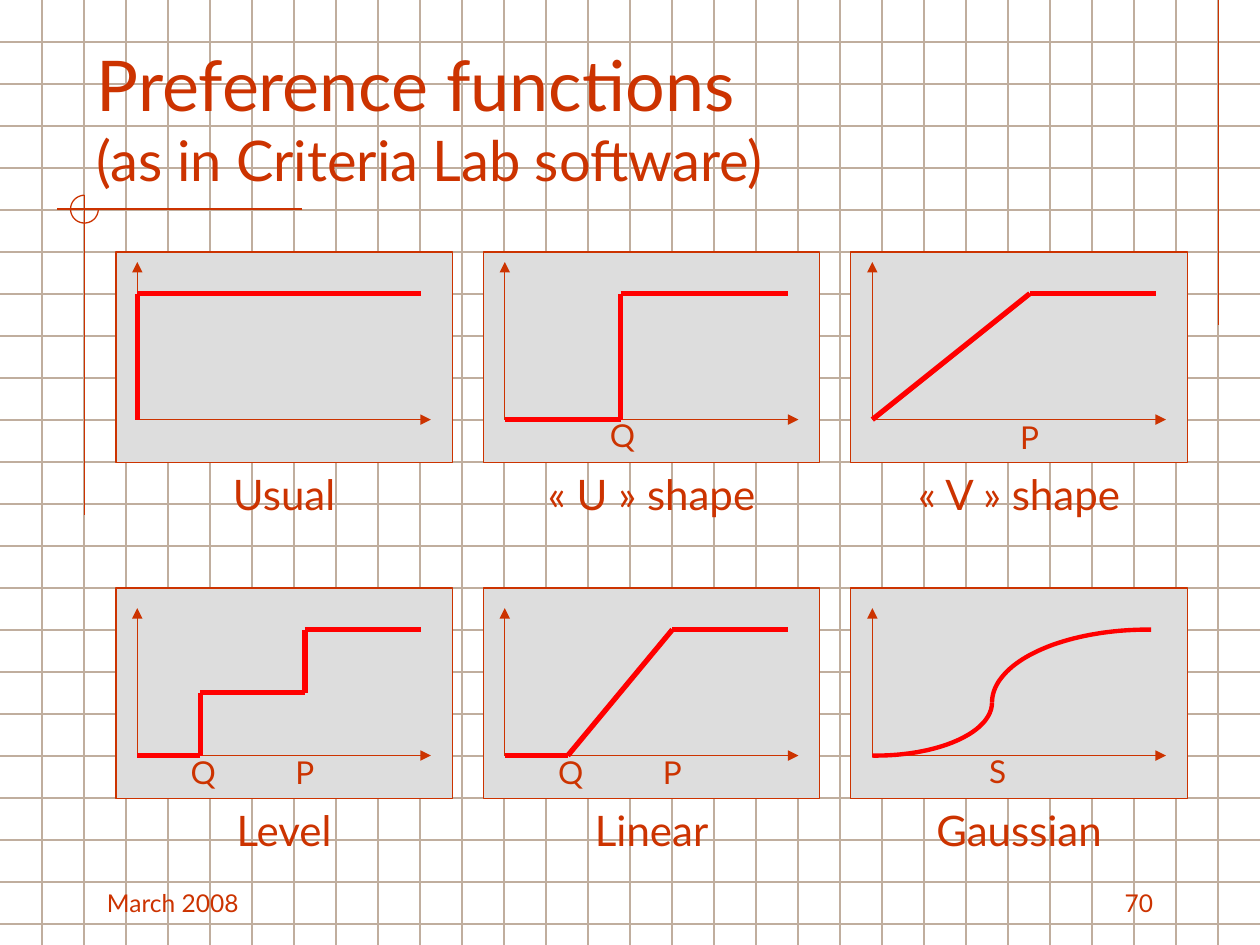
from itertools import pairwise
from math import cos, radians, sin

from lxml import etree
from pptx import Presentation
from pptx.dml.color import RGBColor
from pptx.enum.shapes import MSO_CONNECTOR, MSO_SHAPE
from pptx.enum.text import MSO_ANCHOR, MSO_AUTO_SIZE, PP_ALIGN
from pptx.oxml.ns import qn
from pptx.util import Inches, Pt

STRAIGHT = MSO_CONNECTOR.STRAIGHT
RECTANGLE = MSO_SHAPE.RECTANGLE
LEFT, CENTER, RIGHT = PP_ALIGN.LEFT, PP_ALIGN.CENTER, PP_ALIGN.RIGHT
TOP, BOTTOM = MSO_ANCHOR.TOP, MSO_ANCHOR.BOTTOM
FIT, FIXED = MSO_AUTO_SIZE.SHAPE_TO_FIT_TEXT, MSO_AUTO_SIZE.NONE

COLORS = {"ink": "CC3300", "curve": "FF0000", "panel": "DDDDDD", "grid": "C0AE9E"}
FONT = "Lato"
WIDTH, HEIGHT = 10, 7.5
PANEL_WIDTH, PANEL_HEIGHT = 2.67, 1.67
LABEL_WIDTHS = {"Q": 0.39, "P": 0.35, "S": 0.34}

PANELS = [
    [
        {"name": "Usual", "caption_width": 2.5,
         "steps": [(0, 0), (0, 1), (2.25, 1)]},
        {"name": "« U » shape", "caption_width": 2.83,
         "steps": [(0, 0), (0.92, 0), (0.92, 1), (2.25, 1)],
         "labels": [("Q", 0.93, 0.08)]},
        {"name": "« V » shape", "caption_width": 2.83,
         "steps": [(0, 0), (1.25, 1), (2.25, 1)],
         "labels": [("P", 1.25, 0.06)]},
    ],
    [
        {"name": "Level", "caption_width": 2.5,
         "steps": [(0, 0), (0.5, 0), (0.5, 0.5), (1.33, 0.5), (1.33, 1), (2.25, 1)],
         "labels": [("Q", 0.52, 0.07), ("P", 1.33, 0.07)]},
        {"name": "Linear", "caption_width": 2.5,
         "steps": [(0, 0), (0.5, 0), (1.33, 1), (2.25, 1)],
         "labels": [("Q", 0.52, 0.07), ("P", 1.33, 0.07)]},
        {"name": "Gaussian", "caption_width": 2.83,
         "arcs": [((0.03, 0.42), (0.92, 0.42), (92, 0)),
                  ((2.19, 0.42), (1.24, 0.58), (180, 271))],
         "labels": [("S", 1, 0.08)]},
    ],
]


def color(name):
    """Return the named colour."""
    return RGBColor.from_string(COLORS[name])


def add_line(shapes, start, end, ink="ink", width=0.75, arrow=False):
    """Draw a straight line between two points in inches."""
    line = shapes.add_connector(STRAIGHT, *map(Inches, (*start, *end)))
    line.line.color.rgb = color(ink)
    line.line.width = Pt(width)
    properties = line.line._get_or_add_ln()
    if arrow:
        etree.SubElement(properties, qn("a:tailEnd"), type="triangle")
    etree.SubElement(properties.getparent(), qn("a:effectLst"))


def add_arc(shapes, center, radii, angles, ink="ink", width=0.75):
    """Draw an open elliptical arc between two clockwise angles."""
    first, last = angles
    turns = [radians(first + (last - first) * step / 40) for step in range(41)]
    points = [(Inches(center[0] + radii[0] * cos(turn)),
               Inches(center[1] + radii[1] * sin(turn))) for turn in turns]
    builder = shapes.build_freeform(*points[0])
    builder.add_line_segments(points[1:], close=False)
    arc = builder.convert_to_shape()
    arc.shadow.inherit = False
    arc.fill.background()
    arc.line.color.rgb = color(ink)
    arc.line.width = Pt(width)


def add_text(shapes, box, spans, align=LEFT, anchor=TOP, wrap=True, fit=FIXED):
    """Place one paragraph of (text, size) spans, one span to a line."""
    frame = shapes.add_textbox(*map(Inches, box)).text_frame
    settings = {"word_wrap": wrap, "vertical_anchor": anchor, "auto_size": fit}
    for name, value in settings.items():
        setattr(frame, name, value)
    para = frame.paragraphs[0]
    para.alignment = align
    for index, (text, size) in enumerate(spans):
        if index:
            para.add_line_break()
        span = para.add_run()
        span.text = text
        for name, value in {"name": FONT, "size": Pt(size)}.items():
            setattr(span.font, name, value)
        span.font.color.rgb = color("ink")


def add_background(page):
    """Draw the squared paper and the ornament lines."""
    grid = page.shapes.add_group_shape().shapes
    for index in range(1, 23):
        add_line(grid, (0, index / 3), (WIDTH, index / 3), "grid")
    for index in range(1, 30):
        add_line(grid, (index / 3, 0), (index / 3, HEIGHT), "grid")
    ornament = page.shapes.add_group_shape().shapes
    add_line(ornament, (9.67, 0), (9.67, 2.58))
    add_line(ornament, (2.4, 1.66), (0.45, 1.66))
    add_line(ornament, (0.67, 1.55), (0.67, 4.09))
    add_arc(ornament, (0.67, 1.66), (0.11, 0.11), (270, 0))


def add_panel(page, left, top, axis_top, panel):
    """Draw one preference function with its axes, labels and caption."""
    shapes = page.shapes.add_group_shape().shapes
    frame = shapes.add_shape(
        RECTANGLE, *map(Inches, (left, top, PANEL_WIDTH, PANEL_HEIGHT)))
    frame.shadow.inherit = False
    frame.fill.solid()
    frame.fill.fore_color.rgb = color("panel")
    frame.line.color.rgb = color("ink")
    frame.line.width = Pt(0.75)

    origin_x, origin_y = left + 0.17, top + 1.33
    add_line(shapes, (origin_x, origin_y), (origin_x + 2.33, origin_y), arrow=True)
    add_line(shapes, (origin_x, origin_y), (origin_x, top + axis_top), arrow=True)
    points = [(origin_x + x, origin_y - y) for x, y in panel.get("steps", [])]
    for start, end in pairwise(points):
        add_line(shapes, start, end, "curve", 3)
    for (x, y), radii, angles in panel.get("arcs", []):
        add_arc(shapes, (origin_x + x, origin_y - y), radii, angles, "curve", 2.5)

    width = panel["caption_width"]
    box = (left + (PANEL_WIDTH - width) / 2, top + PANEL_HEIGHT, width, 0.5)
    add_text(shapes, box, [(panel["name"], 24)], CENTER, fit=FIT)
    for text, x, rise in panel.get("labels", []):
        width = LABEL_WIDTHS[text]
        box = (origin_x + x - width / 2, origin_y - rise, width, 0.4)
        add_text(shapes, box, [(text, 18)], wrap=False, fit=FIT)


def add_panels(page, left, top):
    """Lay out the panels in two rows of three."""
    for row, (panels, axis_top) in enumerate(zip(PANELS, (0.08, 0.16))):
        for column, panel in enumerate(panels):
            add_panel(page, left + column * 35 / 12, top + row * 8 / 3, axis_top, panel)


def add_title(page, box):
    """Place the two-line title."""
    spans = [("Preference functions", 40), ("(as in Criteria Lab software)", 32)]
    add_text(page.shapes, box, spans, anchor=BOTTOM)


def add_footer(page, left, right, top):
    """Place the date and the page number."""
    add_text(page.shapes, (left, top, 2.08, 0.5), [("March 2008", 14)], anchor=BOTTOM)
    add_text(page.shapes, (right - 2.08, top, 2.08, 0.5), [("70", 14)], RIGHT, BOTTOM)


def main():
    """Build the slide and save the deck."""
    deck = Presentation()
    deck.slide_width, deck.slide_height = Inches(WIDTH), Inches(HEIGHT)
    page = deck.slides.add_slide(deck.slide_layouts[6])
    add_background(page)
    add_footer(page, 0.75, 9.25, 6.83)
    add_title(page, (0.67, 0.33, 8.5, 1.25))
    add_panels(page, 0.92, 2)
    deck.save("out.pptx")


if __name__ == "__main__":
    main()
